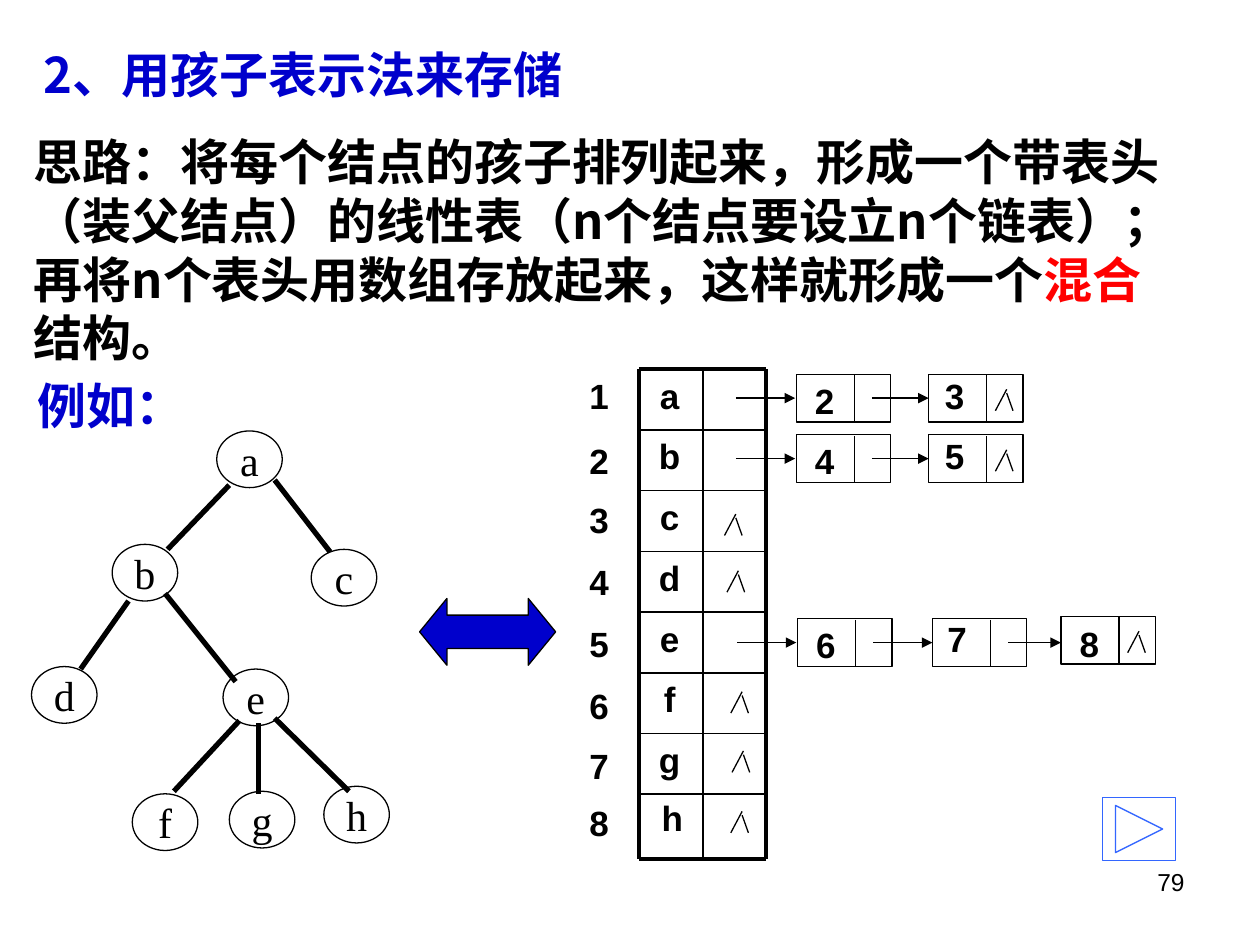
from dataclasses import dataclass

from lxml import etree
from pptx import Presentation
from pptx import util as u
from pptx.dml.color import RGBColor
from pptx.enum import shapes, text
from pptx.oxml import ns

PX = 9144


@dataclass(frozen=True)
class Theme:
    black: str = "000000"
    blue: str = "0000CC"
    red: str = "FF0000"
    button: str = "3366FF"
    heading_font: str = "Noto Sans CJK SC"
    label_font: str = "Arial"
    node_font: str = "Times New Roman"
    heading_size: int = 28
    heading_leading: float = 33.5
    node_size: int = 24
    label_size: int = 20
    number_size: int = 14
    thin: float = 0.75
    grid: float = 1
    frame: float = 2.25
    edge: float = 3


THEME = Theme()


def px(*lengths):
    return [u.Emu(round(length * PX)) for length in lengths]


def style_span(span, font, size, color, bold):
    span.font.name = font
    span.font.size = u.Pt(size)
    span.font.bold = bold
    span.font.color.rgb = RGBColor.from_string(color)
    east_asian = etree.SubElement(span.font._element, ns.qn("a:ea"))
    east_asian.set("typeface", font)


def add_text(page, box, words, font=THEME.label_font, size=THEME.label_size,
             color=THEME.black, bold=True, align=text.PP_ALIGN.LEFT, wrap=False):
    label = page.shapes.add_textbox(*px(*box))
    frame = label.text_frame
    frame.word_wrap = wrap
    frame.text = words
    para = frame.paragraphs[0]
    para.alignment = align
    style_span(para.runs[0], font, size, color, bold)
    return label


def add_shape(page, kind, box, line, fill=None):
    shape = page.shapes.add_shape(kind, *px(*box))
    shape.shadow.inherit = False
    if fill:
        shape.fill.solid()
        shape.fill.fore_color.rgb = RGBColor.from_string(fill)
    else:
        shape.fill.background()
    shape.line.color.rgb = RGBColor.from_string(line)
    shape.line.width = u.Pt(THEME.thin)
    return shape


def add_line(page, x1, y1, x2, y2, width=THEME.thin, arrow=False):
    line = page.shapes.add_connector(shapes.MSO_CONNECTOR.STRAIGHT, *px(x1, y1, x2, y2))
    line.line.color.rgb = RGBColor.from_string(THEME.black)
    line.line.width = u.Pt(width)
    if arrow:
        etree.SubElement(line.line._get_or_add_ln(), ns.qn("a:tailEnd")).set("type", "triangle")
    etree.SubElement(line._element.spPr, ns.qn("a:effectLst"))


def add_heading(page, box, words, wrap=False):
    label = add_text(page, box, words, THEME.heading_font, THEME.heading_size,
                     THEME.blue, wrap=wrap)
    label.text_frame.paragraphs[0].line_spacing = u.Pt(THEME.heading_leading)
    return label


def add_idea(page, box):
    paragraphs = [
        [("思路：将每个结点的孩子排列起来，形成一个带表头（装父结点）的线性表（n个结点要设立n个链表）；", THEME.black)],
        [("再将n个表头用数组存放起来，这样就形成一个", THEME.black),
         ("混合", THEME.red), ("结构。", THEME.black)],
    ]
    frame = page.shapes.add_textbox(*px(*box)).text_frame
    frame.word_wrap = True
    for index, spans in enumerate(paragraphs):
        para = frame.add_paragraph() if index else frame.paragraphs[0]
        para.line_spacing = u.Pt(THEME.heading_leading)
        for words, color in spans:
            span = para.add_run()
            span.text = words
            style_span(span, THEME.heading_font, THEME.heading_size, color, True)


def add_tree(page, left, top):
    nodes = {"a": (147, 0), "b": (64, 90), "c": (222, 94), "d": (0, 187),
             "e": (152, 189), "f": (80, 288), "g": (157, 286), "h": (232, 282)}
    edges = [(157, 43, 108, 94), (193, 39, 237, 96), (77, 135, 39, 189),
             (106, 129, 162, 199), (165, 230, 113, 286), (180, 232, 180, 288),
             (193, 228, 252, 286)]
    for name, (x, y) in nodes.items():
        node = add_shape(page, shapes.MSO_SHAPE.OVAL, (left + x, top + y, 52, 45), THEME.black)
        frame = node.text_frame
        frame.word_wrap = False
        frame.vertical_anchor = text.MSO_ANCHOR.MIDDLE
        frame.text = name
        frame.paragraphs[0].alignment = text.PP_ALIGN.CENTER
        style_span(frame.paragraphs[0].runs[0], THEME.node_font, THEME.node_size,
                   THEME.black, False)
    for x1, y1, x2, y2 in edges:
        add_line(page, left + x1, top + y1, left + x2, top + y2, THEME.edge)


def add_null_mark(page, x, y):
    add_line(page, x, y, x - 9, y + 17)
    add_line(page, x, y + 3, x + 5, y + 17)


def add_head_array(page, left, top):
    step, width, height = 48.2, 101, 389
    number_tops = [-1, 51, 98, 147, 196, 245, 293, 338]
    for index, name in enumerate("abcdefgh"):
        last = name == "h"
        x, y = (1, 334) if last else (-1, step * index - 1)
        add_text(page, (left + x, top + y, 51, 48), name,
                 align=text.PP_ALIGN.CENTER, wrap=True)
        add_text(page, (left - 49, top + number_tops[index], 36, 43), str(index + 1))
        if index:
            row = top + step * index
            add_line(page, left, row, left + width, row, THEME.grid)
    for y in (top, top + height):
        add_line(page, left, y, left + width, y, THEME.frame)
    for x, weight in ((0, THEME.frame), (51, THEME.grid), (width, THEME.frame)):
        add_line(page, left + x, top, left + x, top + height, weight)
    for x, y in ((77, 115), (79, 160), (82, 256), (83, 303), (82, 351)):
        add_null_mark(page, left + x, top + y)


def add_chain(page, left, top, cells):
    middle = top + 19
    add_line(page, left - 48, middle, left - 1, middle, arrow=True)
    for index, (value, x, y, text_x, text_y) in enumerate(cells):
        cell_left, cell_top = left + x, top + y
        add_shape(page, shapes.MSO_SHAPE.RECTANGLE, (cell_left, cell_top, 75, 38), THEME.black)
        add_line(page, cell_left + 46, cell_top + 1, cell_left + 46, cell_top + 38)
        add_text(page, (cell_left + text_x, cell_top + text_y, 37, 43), value)
        if index + 1 < len(cells):
            add_line(page, cell_left + 60, middle, left + cells[index + 1][1], middle, arrow=True)
        else:
            add_null_mark(page, cell_left + 62, cell_top + 12)


def add_equivalence(page, box):
    arrow = add_shape(page, shapes.MSO_SHAPE.LEFT_RIGHT_ARROW, box, THEME.black, THEME.blue)
    arrow.adjustments[0] = 0.5
    arrow.adjustments[1] = 0.41


def main():
    deck = Presentation()
    deck.slide_width, deck.slide_height = px(1000, 750)
    page = deck.slides.add_slide(deck.slide_layouts[6])
    title = add_heading(page, (25, 25, 442, 67), "2、用孩子表示法来存储", wrap=True)
    title.text_frame.vertical_anchor = text.MSO_ANCHOR.MIDDLE
    add_idea(page, (17, 100, 933, 197))
    add_heading(page, (20, 293, 138, 57), "例如：")
    add_tree(page, 25, 342)
    add_equivalence(page, (333, 475, 108, 53))
    add_head_array(page, 507, 293)
    add_chain(page, 632, 297, [("2", 0, 0, 5, -1), ("3", 105, 0, 3, -5)])
    add_chain(page, 632, 345, [("4", 0, 0, 5, -1), ("5", 105, 0, 3, -5)])
    add_chain(page, 633, 491, [("6", 0, 0, 5, -1), ("7", 107, 0, 2, -6), ("8", 209, -2, 5, 0)])
    add_shape(page, shapes.MSO_SHAPE.ACTION_BUTTON_FORWARD_OR_NEXT, (875, 633, 58, 50),
              THEME.button)
    add_text(page, (717, 683, 233, 52), "79", size=THEME.number_size, bold=False,
             align=text.PP_ALIGN.RIGHT, wrap=True)
    deck.save("out.pptx")


if __name__ == "__main__":
    main()
